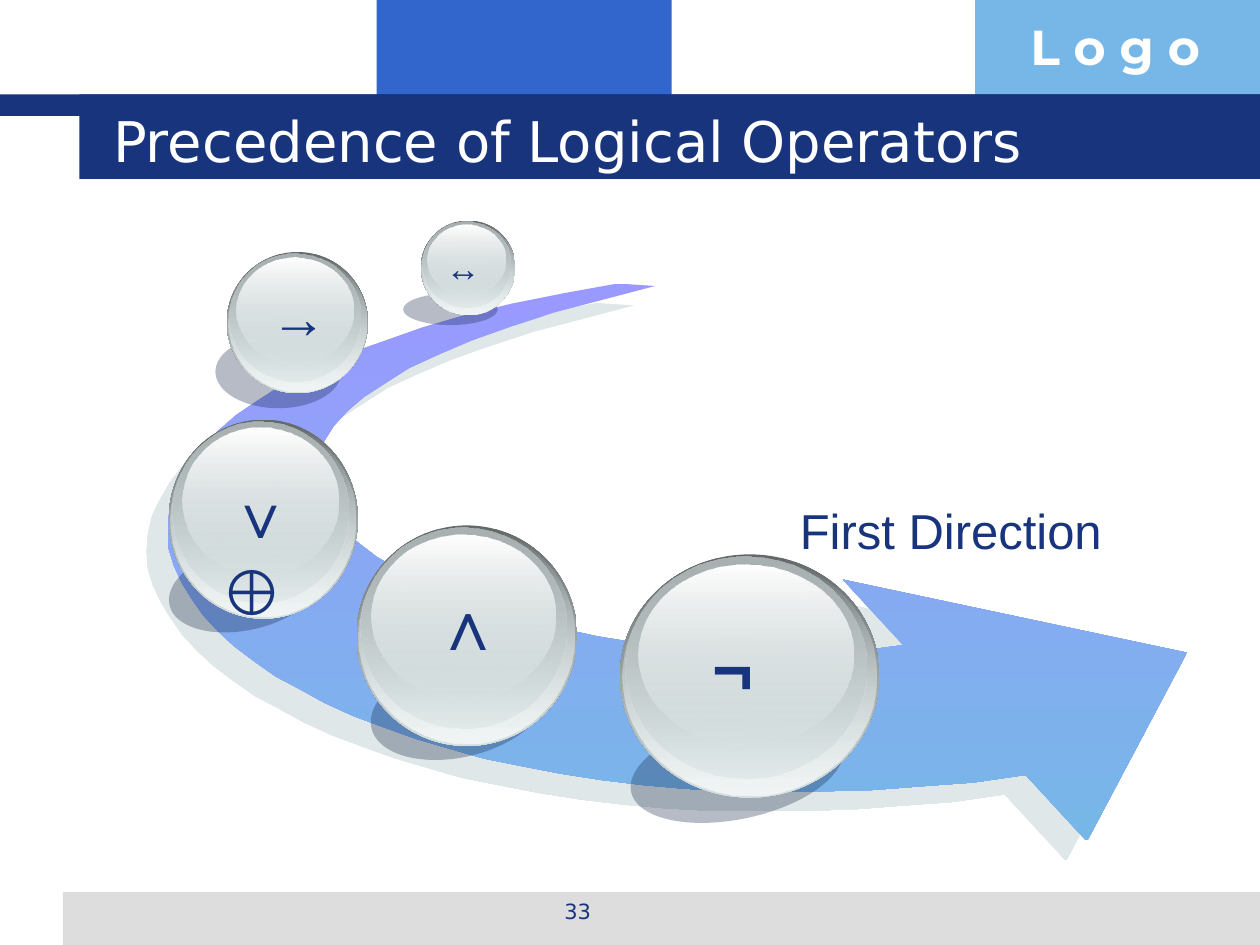
from lxml.etree import SubElement
from pptx import Presentation
from pptx.dml.color import RGBColor
from pptx.enum.shapes import MSO_SHAPE
from pptx.enum.text import MSO_ANCHOR, PP_ALIGN
from pptx.oxml.ns import qn
from pptx.util import Pt

PX = 9144  # 100 px to the inch
NAVY, BLUE, SKY, GREY, WHITE = "17347D", "3366CC", "77B7E7", "DDDDDD", "FFFFFF"
SHADE, PALE = "0F2145", "D6E1E2"
SYMBOL = {"name": "Arial", "bold": True}

# Ball layers: left, top, width, height as shares of the ball, then gradient stops
LAYERS = [
    ((0, 0, 1, 1), [("636869", 100), (PALE, 100)]),
    ((0.01, 0.01, 0.98, 0.98), [(PALE, 0), ("F1F5F5", 100)]),
    ((0.02, 0.01, 0.93, 0.91), [("AAB2B3", 100), (PALE, 48)]),
    ((0.07, 0.04, 0.83, 0.74), [(WHITE, 100), (PALE, 38)]),
]

# Swoosh outline: outer edge, arrow head, inner edge
SWOOSH = [
    (490, 225), (446, 233), (406, 241), (369, 250), (335, 260), (304, 271),
    (275, 281), (250, 293), (226, 304), (206, 317), (188, 329), (173, 342),
    (161, 355), (151, 368), (143, 382), (137, 395), (134, 409), (133, 422),
    (134, 436), (138, 449), (144, 462), (152, 475), (161, 488), (173, 501),
    (186, 513), (202, 525), (219, 537), (238, 547), (258, 558), (280, 568),
    (304, 577), (329, 586), (356, 594), (384, 602), (414, 608), (445, 614),
    (477, 619), (510, 623), (544, 626), (580, 628), (617, 628), (654, 628),
    (693, 627), (732, 624), (773, 621), (814, 615),
    (862, 667), (863, 667), (942, 518), (669, 460), (717, 512),
    (694, 515), (670, 517), (646, 519), (621, 519), (597, 518), (571, 517),
    (547, 515), (522, 512), (498, 509), (474, 505), (451, 500), (428, 494),
    (406, 488), (386, 482), (366, 475), (347, 467), (329, 459), (313, 450),
    (299, 442), (286, 432), (275, 423), (266, 413), (259, 402), (254, 392),
    (251, 382), (251, 371), (253, 360), (258, 349), (265, 338), (276, 326),
    (289, 315), (306, 304), (325, 292), (349, 281), (375, 270), (406, 259),
    (440, 248), (478, 238), (520, 227),
]


def rgb(code):
    return RGBColor.from_string(code)


class Slide:
    def __init__(self, deck, font, color):
        self.page = deck.slides.add_slide(deck.slide_layouts[6])
        self.shapes = self.page.shapes
        self.font, self.color = font, color

    def paint(self, shape, stops):
        """One stop gives a solid fill, two a gradient from top to bottom."""
        fill = shape.fill
        if len(stops) == 1:
            fill.solid()
            fill.fore_color.rgb = rgb(stops[0][0])
        else:
            fill.gradient()
            fill.gradient_angle = 270
            for stop, (code, _) in zip(fill.gradient_stops, stops):
                stop.color.rgb = rgb(code)
        tags = shape._element.spPr.iter(qn("a:srgbClr"))
        for tag, (_, alpha) in zip(list(tags), stops):
            if alpha < 100:
                SubElement(tag, qn("a:alpha"), val=str(alpha * 1000))
        shape.line.fill.background()
        shape.shadow.inherit = False

    def shape(self, kind, box, *stops, turn=0):
        item = self.shapes.add_shape(kind, *(round(n * PX) for n in box))
        item.rotation = turn
        self.paint(item, stops)

    def bar(self, box, code):
        self.shape(MSO_SHAPE.RECTANGLE, box, (code, 100))

    def text(self, box, runs, align=PP_ALIGN.LEFT, wrap=True, pad=10,
             anchor=MSO_ANCHOR.TOP, **style):
        frame = self.shapes.add_textbox(*(n * PX for n in box)).text_frame
        form = {"word_wrap": wrap, "vertical_anchor": anchor,
                "margin_left": pad * PX, "margin_right": pad * PX}
        for key, value in form.items():
            setattr(frame, key, value)
        para = frame.paragraphs[0]
        para.alignment = align
        for words, size in runs:
            run = para.add_run()
            run.text = words
            look = {"name": self.font, "size": Pt(size), **style}
            code = look.pop("color", self.color)
            for key, value in look.items():
                setattr(run.font, key, value)
            run.font.color.rgb = rgb(code)

    def arrow(self, points, *stops):
        path = self.shapes.build_freeform(*points[0], scale=PX)
        path.add_line_segments(points[1:], close=True)
        item = path.convert_to_shape()
        self.paint(item, stops)
        cast = SubElement(item._element.spPr.find(qn("a:effectLst")),
                          qn("a:outerShdw"), dist=str(Pt(16.3)),
                          dir=str(137 * 60000), algn="ctr", rotWithShape="0")
        tint = SubElement(cast, qn("a:srgbClr"), val="C1D1D3")
        SubElement(tint, qn("a:alpha"), val="50000")

    def ball(self, shade, turn, box, label, runs, **style):
        self.shape(MSO_SHAPE.OVAL, shade, (SHADE, 30), turn=turn)
        left, top, wide, high = box
        for (x, y, w, h), stops in LAYERS:
            part = (left + x * wide, top + y * high, w * wide, h * high)
            self.shape(MSO_SHAPE.OVAL, part, *stops)
        self.text(label, runs, PP_ALIGN.CENTER, **{"wrap": False, **SYMBOL, **style})


def main():
    deck = Presentation()
    deck.slide_width, deck.slide_height = 1000 * PX, 750 * PX
    slide = Slide(deck, "DejaVu Sans", NAVY)

    # Header and footer bands
    for box, code in [
        ((299, 0, 234, 92), BLUE),
        ((774, 0, 226, 92), SKY),
        ((50, 708, 950, 42), GREY),
        ((0, 75, 1000, 17), NAVY),
        ((63, 75, 937, 67), NAVY),
    ]:
        slide.bar(box, code)
    slide.text((808, 8, 193, 57), [("L o g o", 28)],
               name="Montserrat", color=WHITE, bold=True)
    slide.text((342, 708, 233, 35), [("33", 12)], PP_ALIGN.CENTER)
    slide.text((80, 80, 853, 62), [("Precedence of Logical Operators", 32)],
               anchor=MSO_ANCHOR.MIDDLE, color=WHITE)

    # Swoosh arrow and its caption
    slide.arrow(SWOOSH, ("9999FF", 100), (SKY, 100))
    slide.text((625, 392, 292, 57), [("First Direction", 28)], name="Arial")

    # Operator balls
    slide.ball((499, 571, 172, 79), 347.9, (492, 440, 206, 193),
               (552, 491, 75, 77), [("¬ ", 40)])
    slide.ball((133, 433, 124, 67), 347.1, (134, 333, 150, 158),
               (148, 367, 118, 77), [("∨", 36), (" ", 40), ("⊕ ", 36)],
               wrap=True, pad=20)
    slide.ball((171, 266, 100, 58), 0, (180, 200, 112, 112),
               (199, 219, 76, 63), [("→ ", 32)])
    slide.ball((320, 233, 75, 25), 0, (334, 175, 75, 75),
               (343, 191, 57, 43), [("↔ ", 20)])
    slide.ball((293, 523, 142, 78), 347.1, (283, 417, 175, 175),
               (334, 456, 69, 77), [("∧ ", 40)])

    deck.save("out.pptx")


if __name__ == "__main__":
    main()
